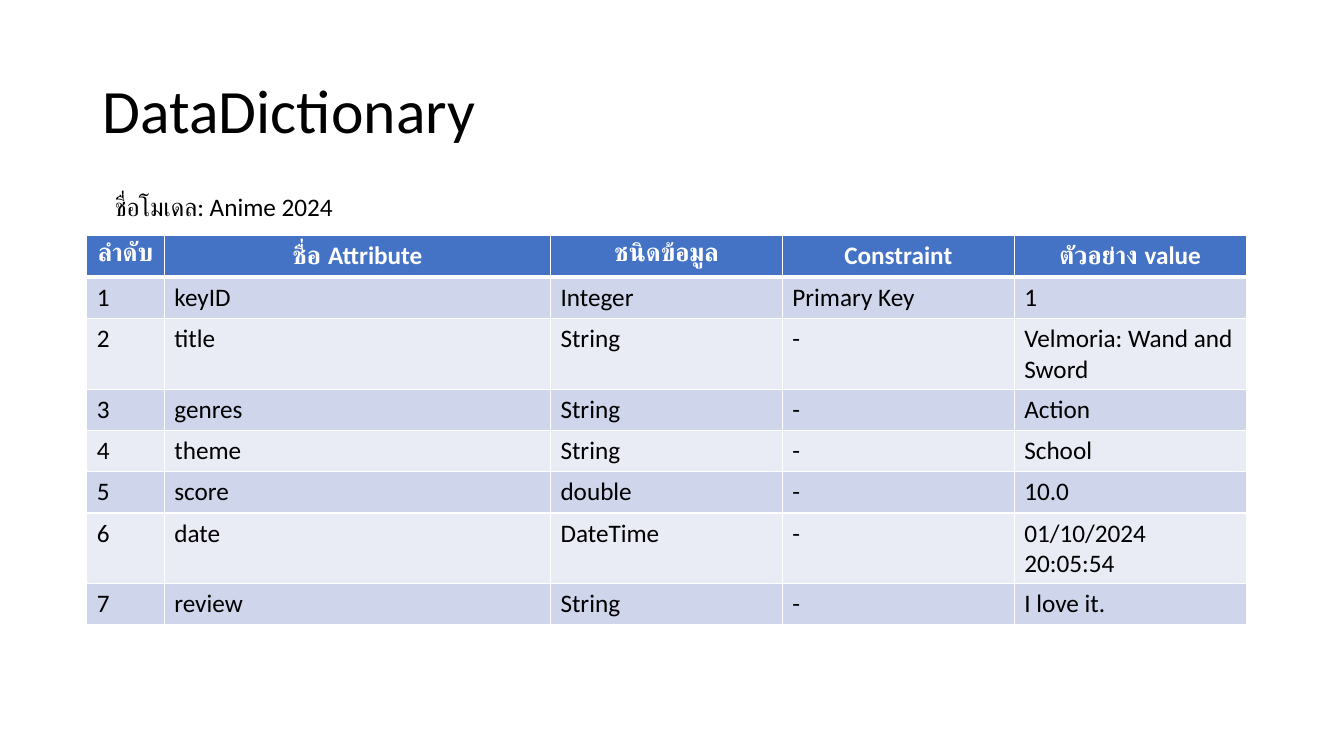
"""Build the DataDictionary slide with its attribute table."""
from lxml import etree
from pptx import Presentation
from pptx.dml.color import RGBColor
from pptx.enum.text import MSO_ANCHOR, PP_ALIGN
from pptx.oxml.ns import qn
from pptx.util import Inches, Pt

TITLE = "DataDictionary"
MODEL = "ชื่อโมเดล: Anime 2024"
HEADER = ("ลำดับ", "ชื่อ Attribute", "ชนิดข้อมูล", "Constraint", "ตัวอย่าง value")
ATTRIBUTES = [
    ("keyID", "Integer", "Primary Key", "1"),
    ("title", "String", "-", "Velmoria: Wand and Sword"),
    ("genres", "String", "-", "Action"),
    ("theme", "String", "-", "School"),
    ("score", "double", "-", "10.0"),
    ("date", "DateTime", "-", "01/10/2024 20:05:54"),
    ("review", "String", "-", "I love it."),
]
COLUMN_WIDTHS = (0.77, 3.83, 2.3, 2.3, 2.3)
ROW_HEIGHT = 0.41

FONT = "Calibri"
BLACK = RGBColor(0x00, 0x00, 0x00)
WHITE = RGBColor(0xFF, 0xFF, 0xFF)
HEADER_BLUE = RGBColor(0x44, 0x72, 0xC4)
BANDS = (RGBColor(0xE9, 0xEB, 0xF5), RGBColor(0xCF, 0xD5, 0xEA))
LEFT, CENTER = PP_ALIGN.LEFT, PP_ALIGN.CENTER
TOP, MIDDLE = MSO_ANCHOR.TOP, MSO_ANCHOR.MIDDLE


def write(frame, text, size=18, color=BLACK, bold=False, align=LEFT, spacing=1.0):
    paragraph = frame.paragraphs[0]
    paragraph.alignment = align
    paragraph.line_spacing = spacing
    run = paragraph.add_run()
    run.text = text
    run.font.name = FONT
    run.font.size = Pt(size)
    run.font.bold = bold
    run.font.color.rgb = color


def add_label(slide, box, text, anchor=TOP, **text_format):
    frame = slide.shapes.add_textbox(*map(Inches, box)).text_frame
    frame.word_wrap = True
    frame.vertical_anchor = anchor
    write(frame, text, **text_format)


def set_borders(cell, top, bottom):
    properties = cell._tc.get_or_add_tcPr()
    for side, width in (("L", 1), ("R", 1), ("T", top), ("B", bottom)):
        line = etree.SubElement(properties, qn(f"a:ln{side}"), w=str(Pt(width)))
        fill = etree.SubElement(line, qn("a:solidFill"))
        etree.SubElement(fill, qn("a:srgbClr"), val=str(WHITE))


def add_dictionary(slide):
    rows = [HEADER] + [(str(n), *row) for n, row in enumerate(ATTRIBUTES, 1)]
    table = slide.shapes.add_table(
        len(rows), len(HEADER), Inches(0.86), Inches(2.34),
        Inches(sum(COLUMN_WIDTHS)), Inches(ROW_HEIGHT * len(rows))).table
    for column, width in zip(table.columns, COLUMN_WIDTHS):
        column.width = Inches(width)
    for r, row in enumerate(rows):
        table.rows[r].height = Inches(ROW_HEIGHT)
        is_header = r == 0
        for c, text in enumerate(row):
            cell = table.cell(r, c)
            set_borders(cell, top=3 if r == 1 else 1, bottom=3 if is_header else 1)
            cell.fill.solid()
            cell.fill.fore_color.rgb = HEADER_BLUE if is_header else BANDS[r % 2]
            write(cell.text_frame, text, bold=is_header,
                  color=WHITE if is_header else BLACK,
                  align=CENTER if is_header else LEFT)


def main():
    deck = Presentation()
    deck.slide_width, deck.slide_height = Inches(13.33), Inches(7.5)
    slide = deck.slides.add_slide(deck.slide_layouts[6])
    add_label(slide, (0.92, 0.4, 11.5, 1.45), TITLE, anchor=MIDDLE, size=44, spacing=0.9)
    add_dictionary(slide)
    add_label(slide, (1.04, 1.85, 4.09, 0.4), MODEL)
    deck.save("out.pptx")


if __name__ == "__main__":
    main()
